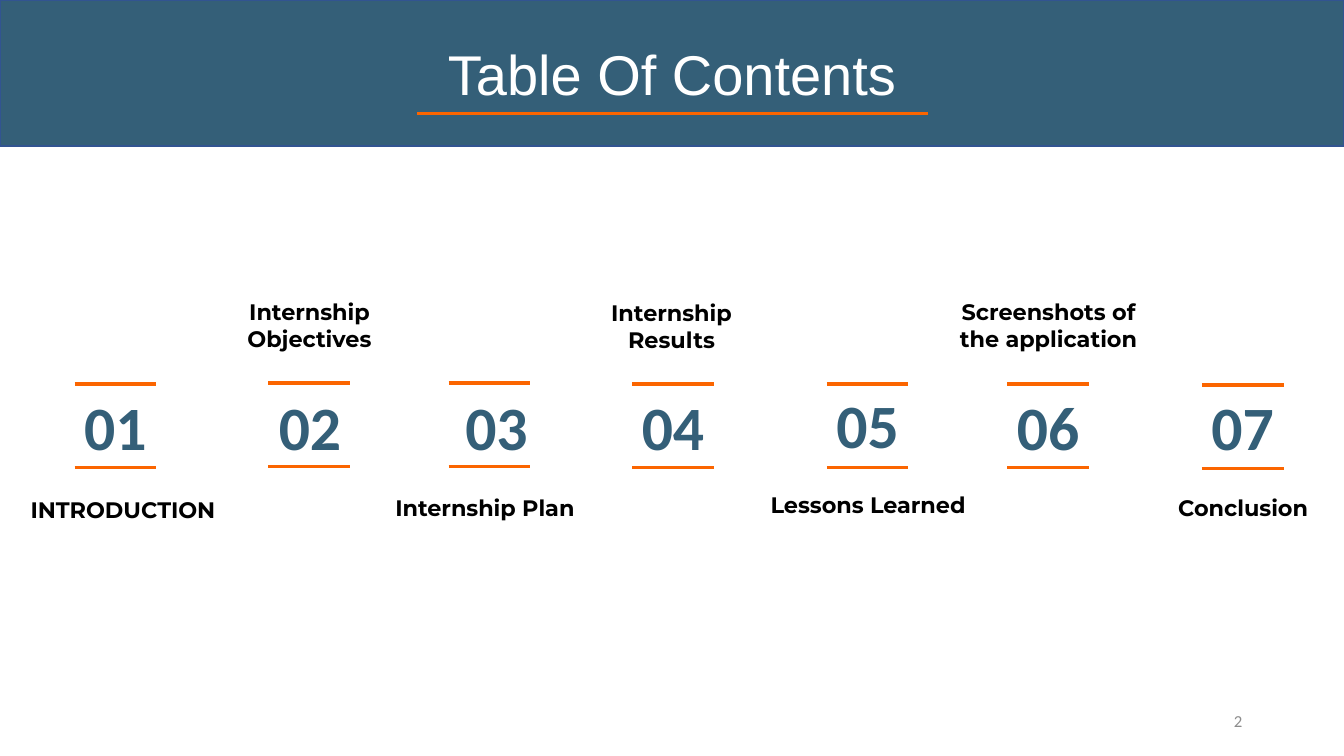
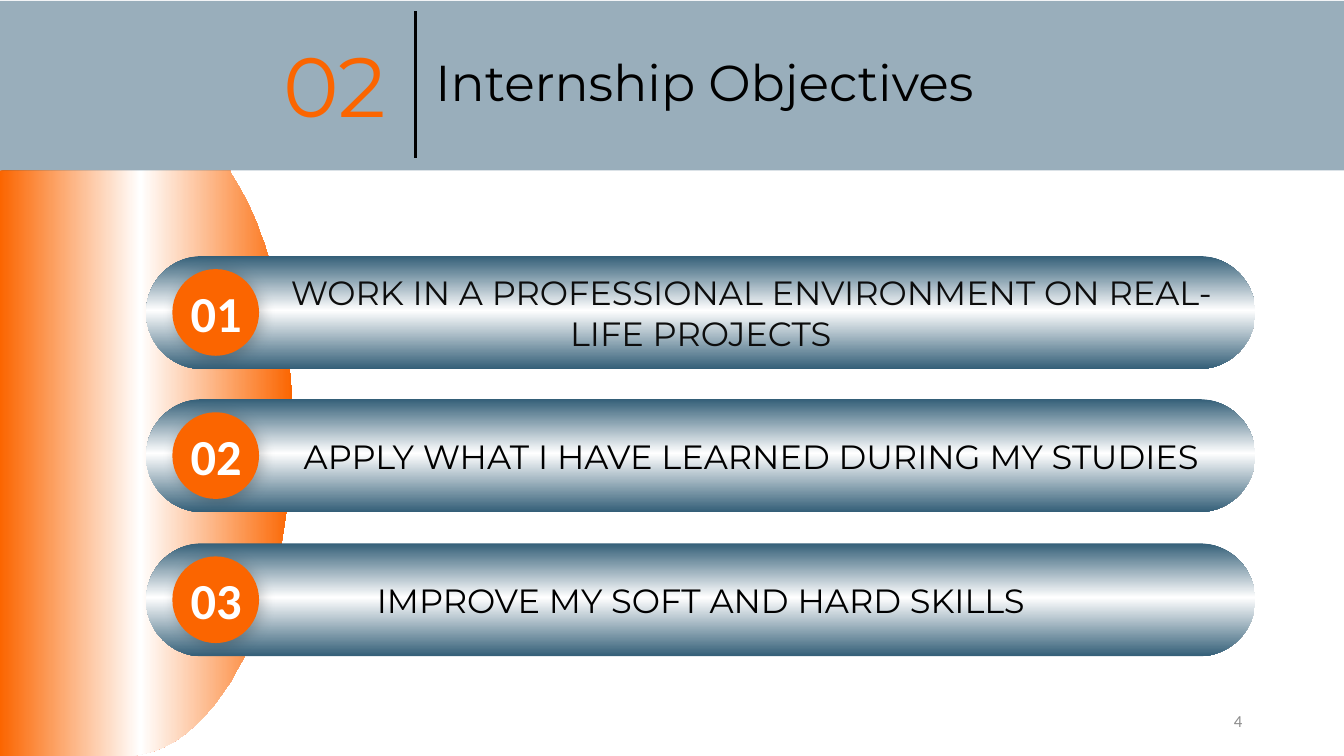
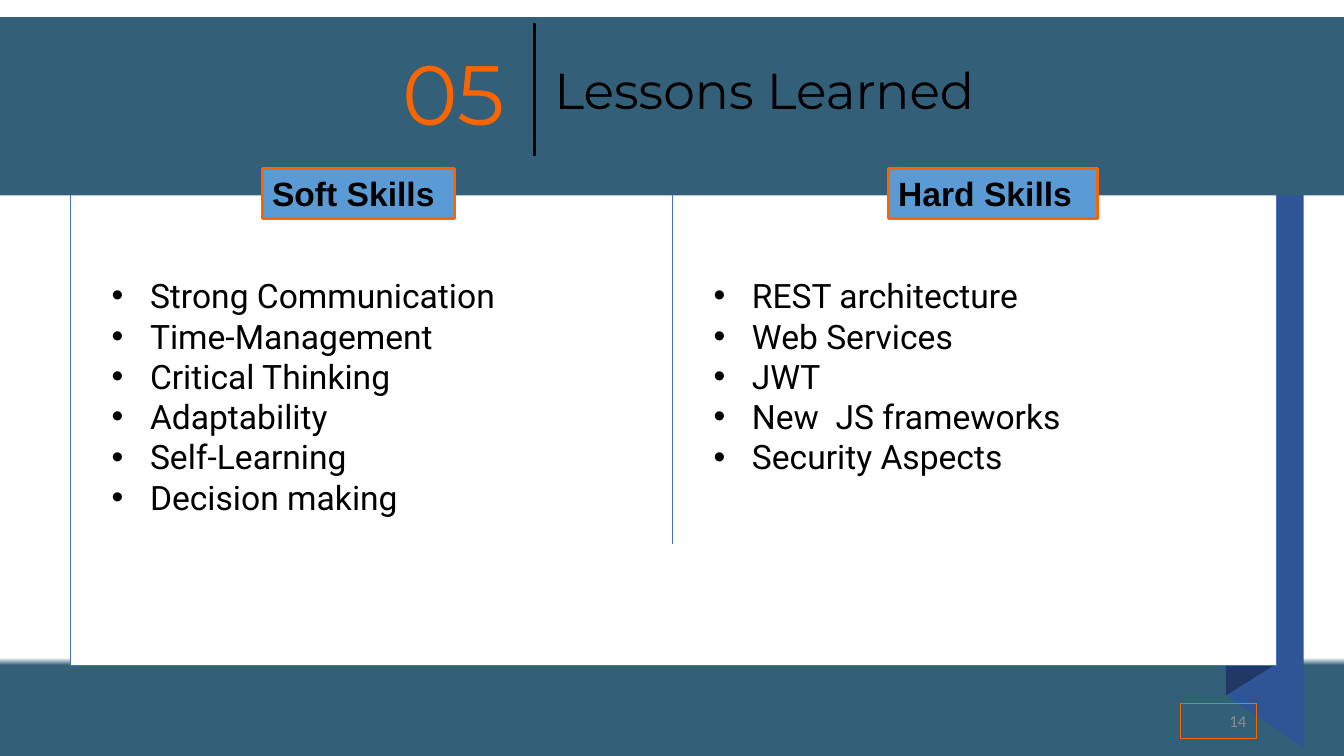
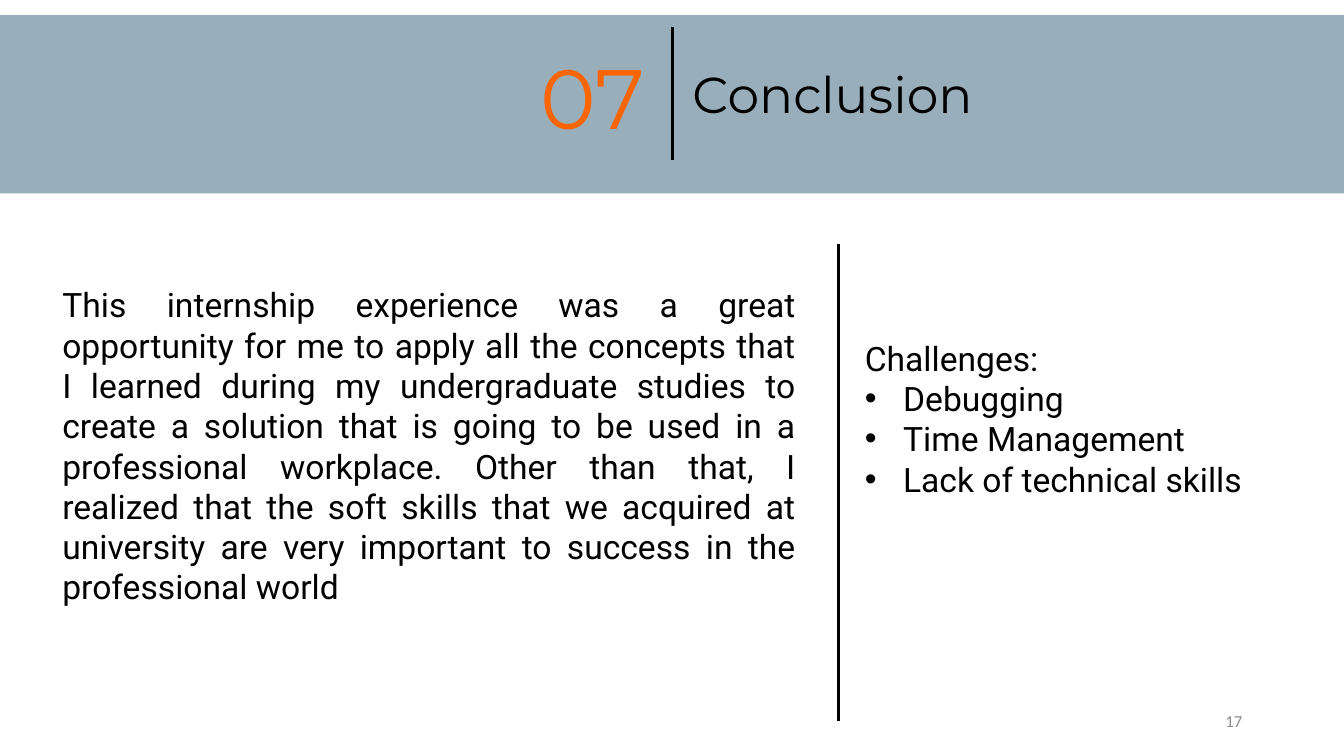
import lxml.etree
import pptx
import pptx.dml.color
import pptx.enum.shapes
import pptx.enum.text
import pptx.oxml.ns
import pptx.util

SCALE = 9144
WIDE, HIGH = 1333, 750
TEAL, FLAME, BLACK, WHITE = "345F78", "FB6500", "000000", "FFFFFF"
GREY, BLUE, SKY = "8C8C8C", "4472C4", "5B9BD5"
KIND = pptx.enum.shapes.MSO_SHAPE
ALIGN = pptx.enum.text.PP_ALIGN
ANCHOR = pptx.enum.text.MSO_ANCHOR
qn = pptx.oxml.ns.qn


def px(*vals):
    return [pptx.util.Emu(val * SCALE) for val in vals]


def tint(code):
    return pptx.dml.color.RGBColor.from_string(code)


def sub(node, tag, **attrs):
    return lxml.etree.SubElement(node, qn(tag), {k: str(v) for k, v in attrs.items()})


def blend(owner, fill, stops, angle):
    fill.gradient()
    fill.gradient_angle = angle
    ramp = owner.element.find(".//" + qn("a:gsLst"))
    for stop in list(ramp):
        ramp.remove(stop)
    for spot, code in stops:
        sub(sub(ramp, "a:gs", pos=spot * 1000), "a:srgbClr", val=code)


def write(shape, text, size=24, font="Roboto", color=BLACK, bold=False, align=ALIGN.LEFT,
          anchor=ANCHOR.TOP, side=10, wrap=True, bullet=None, first=0, after=0):
    frame = shape.text_frame
    frame.word_wrap = wrap
    frame.vertical_anchor = anchor
    frame.margin_left, frame.margin_right = px(side, side)
    for i, line in enumerate(text.split("\n")):
        para = frame.paragraphs[0] if i == 0 else frame.add_paragraph()
        para.alignment = align
        para.space_after = pptx.util.Pt(after)
        run = para.add_run()
        run.text = line
        run.font.size = pptx.util.Pt(size)
        run.font.name = font
        run.font.bold = bold
        run.font.color.rgb = tint(color)
        props = para._p.get_or_add_pPr()
        if bullet is not None and i >= bullet:
            props.set("marL", str(38 * SCALE))
            props.set("indent", str(-38 * SCALE))
            sub(props, "a:buFont", typeface="Arial")
            sub(props, "a:buChar", char="•")
        elif first:
            props.set("indent", str(first * SCALE))


def note(slide, box, text, **style):
    write(slide.shapes.add_textbox(*px(*box)), text, **style)


def dress(shape, fill=None, line=None, width=1, alpha=None):
    shape.shadow.inherit = False
    if fill:
        shape.fill.solid()
        shape.fill.fore_color.rgb = tint(fill)
        if alpha:
            sub(shape.element.spPr.find(".//" + qn("a:srgbClr")), "a:alpha", val=alpha * 1000)
    else:
        shape.fill.background()
    if line:
        shape.line.color.rgb = tint(line)
        shape.line.width = pptx.util.Pt(width)
    else:
        shape.line.fill.background()
    return shape


def block(slide, box, kind=KIND.RECTANGLE, **style):
    return dress(slide.shapes.add_shape(kind, *px(*box)), **style)


def patch(slide, points, **style):
    form = slide.shapes.build_freeform(*points[0], scale=SCALE)
    form.add_line_segments(points[1:], close=True)
    return dress(form.convert_to_shape(), **style)


def rule(slide, x1, y1, x2, y2, color=BLACK, width=2.25):
    line = slide.shapes.add_connector(pptx.enum.shapes.MSO_CONNECTOR.STRAIGHT, *px(x1, y1, x2, y2))
    line.line.color.rgb = tint(color)
    line.line.width = pptx.util.Pt(width)
    sub(line.element.spPr, "a:effectLst")


def curve(a, b, c, d, steps=24):
    spots = []
    for i in range(1, steps + 1):
        t = i / steps
        u = 1 - t
        spots.append(tuple(round(u**3 * p + 3 * u * u * t * q + 3 * u * t * t * r + t**3 * s)
                           for p, q, r, s in zip(a, b, c, d)))
    return spots


def page(slide, num):
    note(slide, (942, 695, 300, 40), num, size=12, font="Calibri", color=GREY,
         align=ALIGN.RIGHT, anchor=ANCHOR.MIDDLE)


def head(slide, num, title, band, bar, top, alpha=None):
    y, high = band
    block(slide, (0, y, WIDE, high), fill=TEAL, alpha=alpha)
    x, start, size = bar
    note(slide, (x + 10, top + 18, WIDE - x - 10, 71), title, size=36, font="Montserrat")
    note(slide, (x - 141, top, 148, 111), num, size=60, font="Montserrat", color=FLAME)
    rule(slide, x, start, x, start + size)


def entry(slide, num, text, x, y, shift, num_y, text_x, text_y):
    note(slide, (x + shift, num_y, 145, 84), num, size=44, font="Calibri", color=TEAL,
         bold=True, align=ALIGN.CENTER, side=0)
    note(slide, (text_x, text_y, 202, 64), text, size=16, font="Montserrat", bold=True,
         align=ALIGN.CENTER, side=0)
    for level in (y, y + 83):
        rule(slide, x, level, x + 81, level, FLAME)


def pill(slide, x, y, num, text, **style):
    bar = block(slide, (x, y, 1100, 112), KIND.ROUNDED_RECTANGLE)
    bar.adjustments[0] = 0.5
    blend(bar, bar.fill, [(0, TEAL), (48, WHITE), (100, TEAL)], 270)
    write(bar, text, font="Montserrat", align=ALIGN.CENTER, anchor=ANCHOR.MIDDLE, **style)
    disc = block(slide, (x + 26, y + 13, 86, 86), KIND.OVAL, fill=FLAME)
    glow = sub(disc.element.spPr.find(qn("a:effectLst")), "a:outerShdw", blurRad=127000,
               dist=38100, dir=2700000, algn="tl", rotWithShape=0)
    sub(sub(glow, "a:srgbClr", val=BLACK), "a:alpha", val=20000)
    note(slide, (x + 30, y + 14, 79, 84), num, size=36, font="Calibri", color=WHITE, bold=True,
         align=ALIGN.CENTER, anchor=ANCHOR.MIDDLE, side=0, wrap=False)


def skills(slide, x, label, tag_x, tag_w, text):
    tag = block(slide, (tag_x, 167, tag_w, 50), fill=SKY, line=FLAME, width=2.25)
    write(tag, label, font="Arial", bold=True, wrap=False)
    note(slide, (x, 268, 510, 252), text, bullet=0)


def contents(slide):
    page(slide, "2")
    band = block(slide, (0, 0, WIDE, 145), fill=TEAL, line="325491")
    write(band, "Table Of Contents", size=40, font="Arial", color=WHITE,
          align=ALIGN.CENTER, anchor=ANCHOR.MIDDLE)
    rule(slide, 414, 113, 920, 113, FLAME)
    rows = [
        ("INTRODUCTION", 74, 381, -32, 381, 21, 487),
        ("Internship Objectives", 266, 380, -31, 381, 206, 291),
        ("Internship Plan", 445, 380, -25, 381, 380, 485),
        ("Internship Results", 627, 381, -32, 381, 565, 292),
        ("Lessons Learned", 820, 381, -32, 379, 760, 482),
        ("Screenshots of the application", 999, 381, -32, 381, 939, 291),
        ("Conclusion", 1192, 382, -32, 381, 1132, 485),
    ]
    for i, row in enumerate(rows, 1):
        entry(slide, f"{i:02}", *row)


def goals(slide):
    arc = curve((229, 172), (267, 231), (290, 322), (290, 424))
    arc += curve((290, 424), (290, 598), (220, 741), (131, 750))
    dome = patch(slide, [(0, 169), (228, 169), (229, 172), *arc, (0, 750)])
    blend(dome, dome.fill, [(0, FLAME), (48, WHITE), (100, FLAME)], 0)
    page(slide, "4")
    head(slide, "02", "Internship Objectives", (1, 168), (412, 11, 146), 28, alpha=50)
    rows = [
        ("WORK IN A PROFESSIONAL ENVIRONMENT ON REAL-LIFE PROJECTS", "0D0D0D", 100),
        ("APPLY WHAT I HAVE LEARNED DURING MY STUDIES", BLACK, 100),
        ("IMPROVE MY SOFT AND HARD SKILLS", BLACK, 0),
    ]
    for i, (text, color, first) in enumerate(rows):
        pill(slide, 145, 254 + round(142.5 * i), f"{i + 1:02}", text, color=color, first=first)


def lessons(slide):
    blend(slide, slide.background.fill, [(0, WHITE), (87, WHITE), (88, TEAL), (100, TEAL)], 270)
    patch(slide, [(1293, 742), (1216, 689), (1216, 100), (1293, 153)], fill="2F5597")
    patch(slide, [(1262, 661), (1216, 690), (1216, 100), (1262, 70)], fill="203864")
    block(slide, (70, 70, 1196, 590), fill=WHITE, line=BLUE)
    rule(slide, 667, 190, 667, 540, BLUE, 1)
    frame = block(slide, (1171, 698, 75, 35), line=FLAME, width=0.75)
    write(frame, "14", size=12, font="Calibri", color=GREY, align=ALIGN.RIGHT,
          anchor=ANCHOR.MIDDLE, after=6)
    head(slide, "05", "Lessons Learned", (17, 177), (530, 23, 132), 36)
    skills(slide, 101, "Soft Skills", 260, 191,
           "Strong Communication\nTime-Management\nCritical Thinking\n"
           "Adaptability\nSelf-Learning\nDecision making")
    skills(slide, 698, "Hard Skills", 881, 208,
           "REST architecture\nWeb Services\nJWT\nNew  JS frameworks\nSecurity Aspects")


def closing(slide):
    page(slide, "17")
    note(slide, (52, 277, 747, 333),
         "This internship experience was a great opportunity for me to apply all the concepts "
         "that I learned during my undergraduate studies to create a solution that is going to "
         "be used in a professional workplace. Other than that, I realized that the soft skills "
         "that we acquired at university are very important to success in the professional world",
         align=ALIGN.JUSTIFY)
    rule(slide, 832, 242, 832, 715)
    note(slide, (848, 330, 450, 212),
         "Challenges:\nDebugging\nTime Management\nLack of technical skills", bullet=1)
    head(slide, "07", "Conclusion", (15, 177), (667, 27, 132), 40, alpha=50)


def main():
    deck = pptx.Presentation()
    deck.slide_width, deck.slide_height = px(WIDE, HIGH)
    for build in (contents, goals, lessons, closing):
        build(deck.slides.add_slide(deck.slide_layouts[6]))
    deck.save("out.pptx")


if __name__ == "__main__":
    main()
